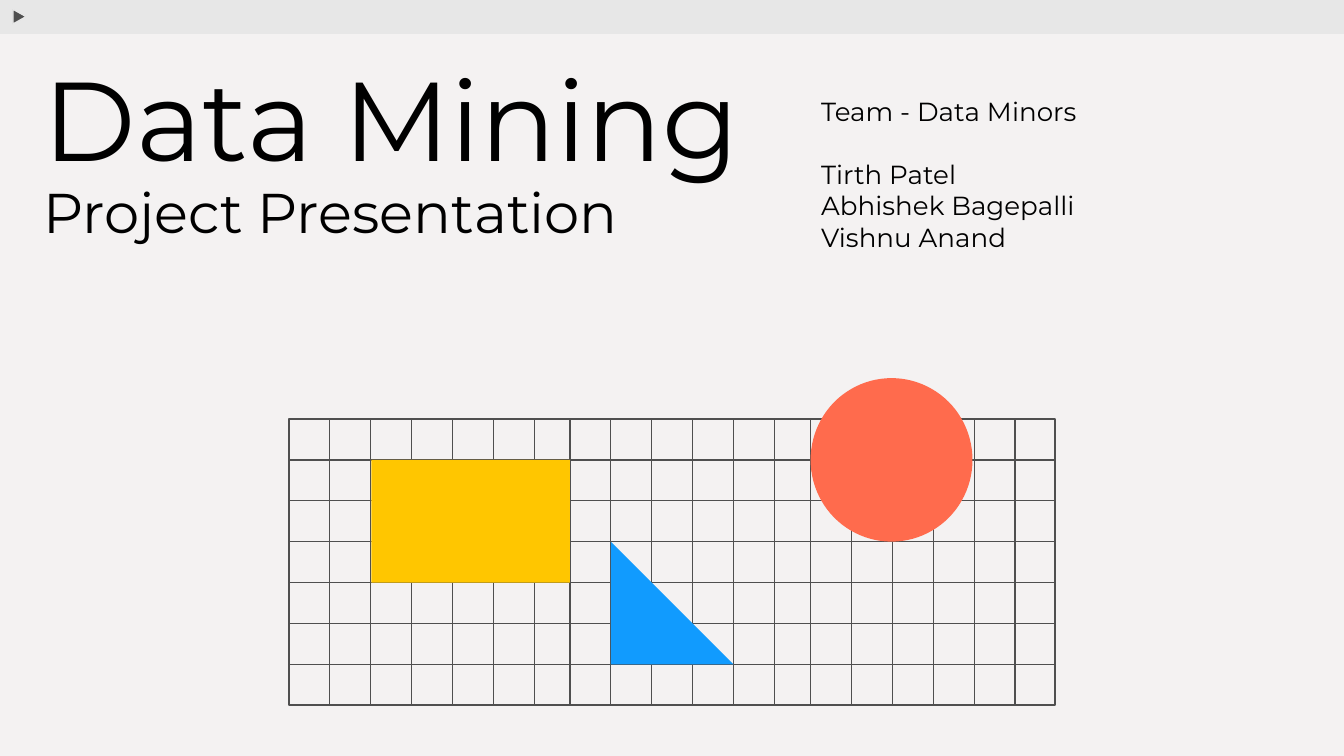
import pptx
import pptx.util
import pptx.dml.color
import pptx.enum.shapes
import pptx.oxml.ns
import lxml.etree

Cm = pptx.util.Cm
Pt = pptx.util.Pt
RGBColor = pptx.dml.color.RGBColor
Shape = pptx.enum.shapes.MSO_SHAPE

BACKGROUND = RGBColor(0xF4, 0xF2, 0xF2)
BAR = RGBColor(0xE7, 0xE7, 0xE7)
GRAY = RGBColor(0x4F, 0x4F, 0x4F)
BLACK = RGBColor(0, 0, 0)
YELLOW = RGBColor(0xFF, 0xC6, 0x00)
CORAL = RGBColor(0xFF, 0x6B, 0x4D)
BLUE = RGBColor(0x11, 0x9B, 0xFE)

GRID_LEFT, GRID_TOP, GRID_WIDTH, GRID_HEIGHT = 5.46, 7.92, 14.48, 5.41
ROWS = 7
CELL = GRID_HEIGHT / ROWS
BLOCK_LEFTS = (GRID_LEFT, 10.77, 15.32)
BLOCK_COLUMNS = (7, 6, 6)


def add_figure(page, kind, bounds, fill=None, line=None, rotation=0):
    """Add a preset shape with an optional fill and outline."""
    figure = page.shapes.add_shape(kind, *map(Cm, bounds))
    figure.shadow.inherit = False
    figure.rotation = rotation
    if fill is None:
        figure.fill.background()
    else:
        figure.fill.solid()
        figure.fill.fore_color.rgb = fill
    if line is None:
        figure.line.fill.background()
    else:
        figure.line.color.rgb = line
        figure.line.width = Pt(0.75)


def add_rule(page, *ends):
    """Add a thin straight grid line between two points."""
    rule = page.shapes.add_connector(
        pptx.enum.shapes.MSO_CONNECTOR.STRAIGHT, *map(Cm, ends))
    rule.line.color.rgb = GRAY
    rule.line.width = Pt(0.75)
    lxml.etree.SubElement(rule._element.spPr, pptx.oxml.ns.qn("a:effectLst"))


def add_text(page, bounds, lines):
    """Add a text box from pairs of text and paragraph format."""
    box = page.shapes.add_textbox(*map(Cm, bounds))
    frame = box.text_frame
    frame.word_wrap = True
    for side in ("left", "top", "right", "bottom"):
        setattr(frame, f"margin_{side}", Cm(0.25))
    for index, (text, size, layout) in enumerate(lines):
        para = frame.add_paragraph() if index else frame.paragraphs[0]
        for name, value in layout.items():
            setattr(para, name, value)
        span = para.add_run()
        span.text = text
        span.font.color.rgb = BLACK
        for name, value in {"name": "Montserrat", "size": Pt(size)}.items():
            setattr(span.font, name, value)


def add_grid(page):
    """Draw the frame, the columns in three blocks, and the rows."""
    right, bottom = GRID_LEFT + GRID_WIDTH, GRID_TOP + GRID_HEIGHT
    add_figure(page, Shape.RECTANGLE,
               (GRID_LEFT, GRID_TOP, GRID_WIDTH, GRID_HEIGHT), line=GRAY)
    for left, columns in zip(BLOCK_LEFTS, BLOCK_COLUMNS):
        for column in range(columns):
            x = left + column * CELL
            if x > GRID_LEFT:
                add_rule(page, x, GRID_TOP, x, bottom)
    for row in range(1, ROWS + 1):
        y = GRID_TOP + row * CELL
        add_rule(page, GRID_LEFT, y, right, y)


def main():
    """Build the cover page and save the deck."""
    deck = pptx.Presentation()
    deck.slide_width, deck.slide_height = Cm(25.4), Cm(14.29)
    page = deck.slides.add_slide(deck.slide_layouts[6])
    page.background.fill.solid()
    page.background.fill.fore_color.rgb = BACKGROUND

    add_figure(page, Shape.RECTANGLE, (0, 0, 25.4, 0.64), BAR)
    add_figure(page, Shape.ISOSCELES_TRIANGLE, (0.23, 0.19, 0.28, 0.25),
               GRAY, BAR, rotation=90)

    add_text(page, (15.27, 1.55, 9.7, 5.08), [
        ("Team - Data Minors", 14, {"space_after": Pt(17)}),
        ("Tirth Patel", 14, {}),
        ("Abhishek Bagepalli", 14, {}),
        ("Vishnu Anand", 14, {}),
    ])
    tight = {"line_spacing": 0.9}
    add_text(page, (0.58, 0.97, 14.83, 5.56), [
        ("Data Mining", 60, tight),
        ("Project Presentation", 30, tight),
    ])

    add_grid(page)
    add_figure(page, Shape.RECTANGLE,
               (7.02, GRID_TOP + CELL, 3.75, 3 * CELL), YELLOW)
    add_figure(page, Shape.OVAL,
               (BLOCK_LEFTS[2], GRID_TOP - CELL, 3.06, 4 * CELL), CORAL)
    add_figure(page, Shape.RIGHT_TRIANGLE,
               (BLOCK_LEFTS[1] + CELL, GRID_TOP + 3 * CELL, 3 * CELL, 3 * CELL),
               BLUE)
    deck.save("out.pptx")


if __name__ == "__main__":
    main()
